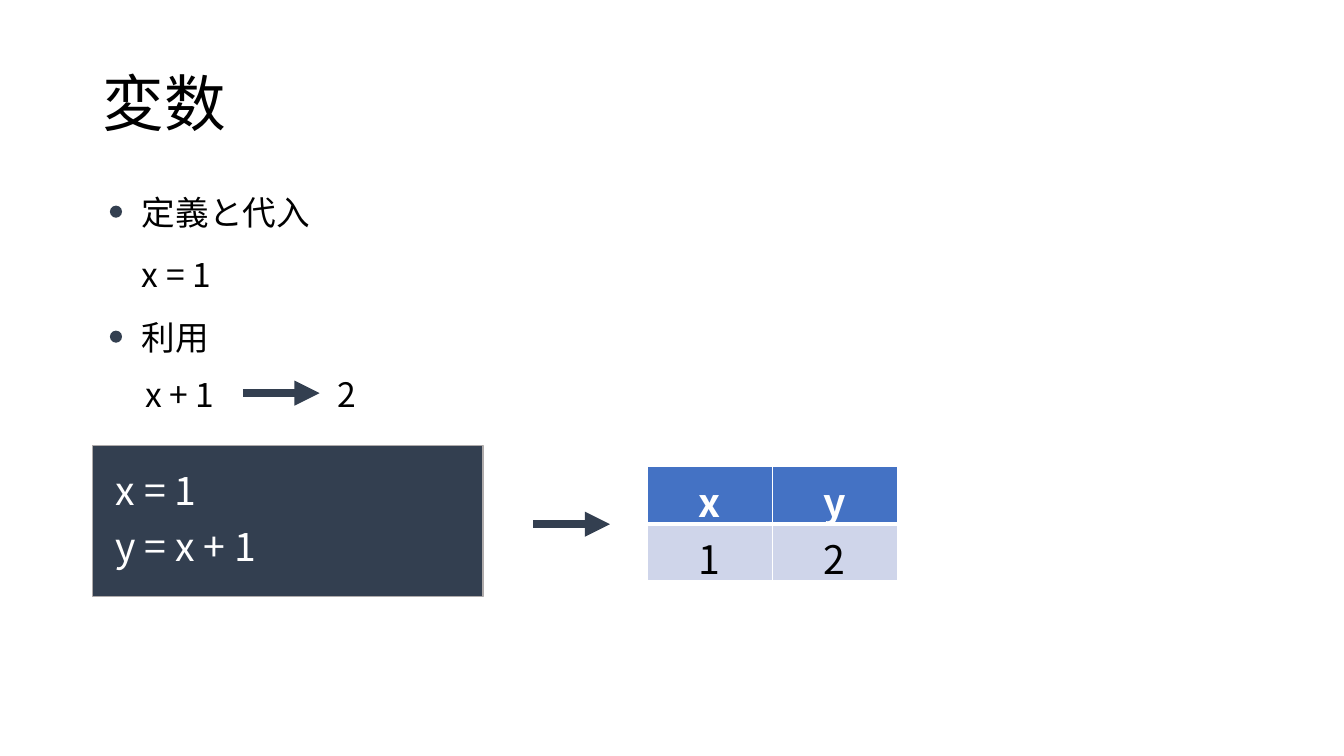
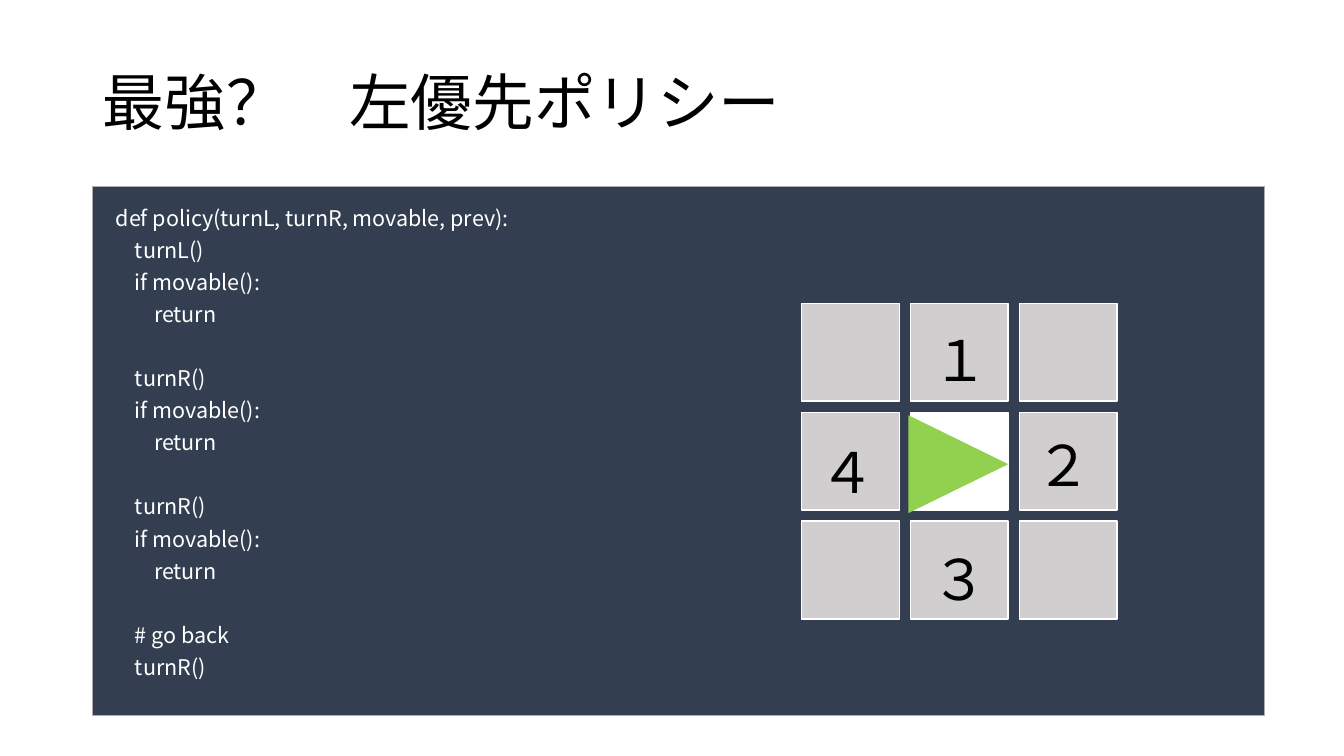
"""Build two slides about variables and a left-first maze policy."""
from dataclasses import dataclass

from lxml.etree import SubElement
from pptx import Presentation
from pptx.dml.color import RGBColor
from pptx.enum.shapes import MSO_CONNECTOR, MSO_SHAPE
from pptx.enum.text import MSO_ANCHOR, MSO_AUTO_SIZE, PP_ALIGN
from pptx.oxml import parse_xml
from pptx.oxml.ns import nsdecls, qn
from pptx.util import Inches, Pt


@dataclass(frozen=True)
class Theme:
    """Colours, font and type sizes shared by the slides."""
    font: str = "Noto Sans CJK JP"
    ink: str = "000000"
    paper: str = "FFFFFF"
    navy: str = "333F50"
    panel_edge: str = "AFABAB"
    header: str = "4472C4"
    row: str = "CFD5EA"
    tile: str = "D0CECE"
    player: str = "92D050"
    title: float = 44
    label: float = 24
    code: float = 28
    small_code: float = 15.4
    step: float = 40


THEME = Theme()

VARIABLES = {
    "title": ("変数", 0.33, 11.5),
    "bullets": [2.04, 3.28],
    "labels": [
        ("定義と代入", 1.31, 1.85, 1.88),
        ("x = 1", 1.31, 2.47, 0.99),
        ("利用", 1.31, 3.09, 0.88),
        ("x + 1", 1.34, 3.66, 0.99),
        ("2", 3.25, 3.66, 0.39),
    ],
    "arrows": [(2.41, 3.9), (5.29, 5.2)],
    "panel": (0.92, 4.42, 3.87, 1.5),
    "code_box": (1.05, 4.63, 3.59, 1.23),
    "code": ["x = 1", "y = x + 1"],
    "values": [["x", "y"], ["1", "2"]],
}

POLICY = {
    "title": ("最強？　左優先ポリシー", 0.32, 7.21),
    "panel": (0.92, 1.85, 11.62, 5.25),
    "code_box": (1.05, 2.05, 11.23, 4.82),
    "code": [
        [(0, "def policy(turnL, turnR, movable, prev):"),
         (1, "turnL()"), (1, "if movable():"), (2, "return")],
        [(1, "turnR()"), (1, "if movable():"), (2, "return")],
        [(1, "turnR()"), (1, "if movable():"), (2, "return")],
        [(1, "# go back"), (1, "turnR()")],
    ],
    "steps": [("１", 9.15, 3.18), ("３", 9.14, 5.35),
              ("２", 10.17, 4.22), ("４", 8.03, 4.29)],
}

ARROW_LENGTH = 0.76
CODE_GAP = 10
BLANK_LINE = 22.9
INDENT = 0.19
MAZE_LEFT, MAZE_TOP, TILE, PITCH = 7.95, 3.01, 0.97, 1.08


def inches(*lengths):
    """Convert several lengths to inches."""
    return [Inches(length) for length in lengths]


def style(paragraph, size, color, bold=False):
    """Apply the theme font to every run of a paragraph."""
    for run in paragraph.runs:
        font = run.font
        font.size, font.bold, font.name = Pt(size), bold, THEME.font
        font.color.rgb = RGBColor.from_string(color)
        east_asian = SubElement(font._element, qn("a:ea"))
        east_asian.set("typeface", THEME.font)


def add_titled_slide(deck, title, top, width):
    """Add a title-only slide with the shared title style."""
    slide = deck.slides.add_slide(deck.slide_layouts[5])
    heading = slide.shapes.title
    heading.left, heading.top, heading.width, heading.height = inches(0.92, top, width, 1.45)
    frame = heading.text_frame
    frame.text = title
    frame.auto_size = MSO_AUTO_SIZE.NONE
    frame.vertical_anchor = MSO_ANCHOR.MIDDLE
    paragraph = frame.paragraphs[0]
    paragraph.alignment, paragraph.line_spacing = PP_ALIGN.LEFT, 0.9
    style(paragraph, THEME.title, THEME.ink)
    return slide


def add_block(slide, preset, box, fill, edge=None):
    """Add a flat preset shape with an optional thin edge."""
    block = slide.shapes.add_shape(preset, *inches(*box))
    block.shadow.inherit = False
    block.fill.solid()
    block.fill.fore_color.rgb = RGBColor.from_string(fill)
    if edge:
        block.line.color.rgb = RGBColor.from_string(edge)
        block.line.width = Pt(1)
    else:
        block.line.fill.background()
    return block


def add_label(slide, text, box, size, wrap):
    """Add a one-line label that grows with its text."""
    frame = slide.shapes.add_textbox(*inches(*box)).text_frame
    frame.text = text
    frame.word_wrap = wrap
    frame.auto_size = MSO_AUTO_SIZE.SHAPE_TO_FIT_TEXT
    style(frame.paragraphs[0], size, THEME.ink)


def add_code(slide, panel, box, lines, size, spacing):
    """Add a dark panel with code lines given as (level, text, space before)."""
    add_block(slide, MSO_SHAPE.RECTANGLE, panel, THEME.navy, THEME.panel_edge)
    frame = slide.shapes.add_textbox(*inches(*box)).text_frame
    frame.word_wrap = True
    frame.text = "\n".join(text for _, text, _ in lines)
    for paragraph, (level, _, gap) in zip(frame.paragraphs, lines):
        paragraph.line_spacing, paragraph.space_before = spacing, Pt(gap)
        paragraph._p.get_or_add_pPr().set("marL", str(Inches(INDENT * level)))
        style(paragraph, size, THEME.paper)


def add_arrow(slide, left, y):
    """Add a thick horizontal arrow pointing right."""
    arrow = slide.shapes.add_connector(
        MSO_CONNECTOR.STRAIGHT, *inches(left, y, left + ARROW_LENGTH, y))
    arrow.line.color.rgb = RGBColor.from_string(THEME.navy)
    arrow.line.width = Pt(6)
    SubElement(arrow.line._get_or_add_ln(), qn("a:tailEnd")).set("type", "triangle")
    SubElement(arrow._element.spPr, qn("a:effectLst"))


def add_borders(cell, bottom):
    """Draw white cell borders, with the bottom one in its own width."""
    properties = cell._tc.get_or_add_tcPr()
    for index, (side, width) in enumerate((("L", 1), ("R", 1), ("T", 1), ("B", bottom))):
        properties.insert(index, parse_xml(
            f'<a:ln{side} {nsdecls("a")} w="{Pt(width)}"><a:solidFill>'
            f'<a:srgbClr val="{THEME.paper}"/></a:solidFill></a:ln{side}>'))


def add_values(slide, rows):
    """Add the table of variable names and values."""
    table = slide.shapes.add_table(
        len(rows), len(rows[0]), *inches(6.42, 4.63, 2.48, 0.82)).table
    for r, row in enumerate(rows):
        is_header = r == 0
        for c, text in enumerate(row):
            cell = table.cell(r, c)
            cell.text = text
            cell.fill.solid()
            cell.fill.fore_color.rgb = RGBColor.from_string(
                THEME.header if is_header else THEME.row)
            add_borders(cell, 3 if is_header else 1)
            paragraph = cell.text_frame.paragraphs[0]
            paragraph.alignment = PP_ALIGN.CENTER
            style(paragraph, THEME.code, THEME.paper if is_header else THEME.ink, is_header)


def add_maze(slide, steps):
    """Add the three-by-three maze, the player and the order of tries."""
    for r in range(3):
        for c in range(3):
            box = (MAZE_LEFT + c * PITCH, MAZE_TOP + r * PITCH, TILE, TILE)
            fill = THEME.paper if r == c == 1 else THEME.tile
            add_block(slide, MSO_SHAPE.RECTANGLE, box, fill, THEME.paper)
    player = add_block(slide, MSO_SHAPE.ISOSCELES_TRIANGLE,
                       (9.02, 4.11, 0.97, 0.99), THEME.player)
    player.rotation = 90
    for text, left, top in steps:
        add_label(slide, text, (left, top, 0.6, 0.77), THEME.step, True)


def build_variables(deck):
    """Build the slide on variables."""
    slide = add_titled_slide(deck, *VARIABLES["title"])
    for top in VARIABLES["bullets"]:
        add_block(slide, MSO_SHAPE.OVAL, (1.09, top, 0.12, 0.12), THEME.navy)
    for text, left, top, width in VARIABLES["labels"]:
        add_label(slide, text, (left, top, width, 0.5), THEME.label, False)
    lines = [(0, text, CODE_GAP) for text in VARIABLES["code"]]
    add_code(slide, VARIABLES["panel"], VARIABLES["code_box"], lines, THEME.code, 0.9)
    for left, y in VARIABLES["arrows"]:
        add_arrow(slide, left, y)
    add_values(slide, VARIABLES["values"])


def build_policy(deck):
    """Build the slide on the left-first policy."""
    slide = add_titled_slide(deck, *POLICY["title"])
    lines = [
        (level, text, CODE_GAP + (BLANK_LINE if b and not i else 0))
        for b, block in enumerate(POLICY["code"])
        for i, (level, text) in enumerate(block)
    ]
    add_code(slide, POLICY["panel"], POLICY["code_box"], lines, THEME.small_code, 0.7)
    add_maze(slide, POLICY["steps"])


def main():
    """Build and save the deck."""
    deck = Presentation()
    deck.slide_width, deck.slide_height = inches(13.33, 7.5)
    build_variables(deck)
    build_policy(deck)
    deck.save("out.pptx")


if __name__ == "__main__":
    main()
